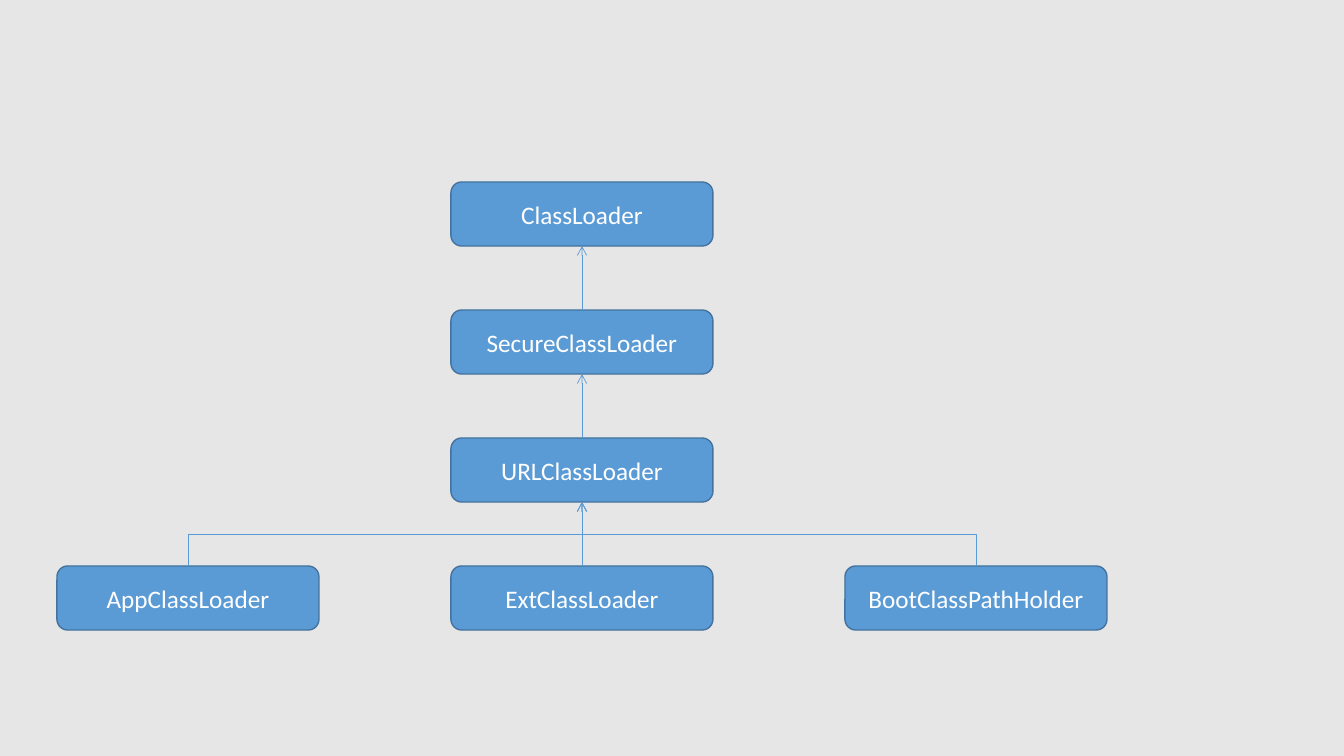
import lxml.etree
import pptx
import pptx.dml.color
import pptx.enum.shapes
import pptx.enum.text
import pptx.oxml.ns
import pptx.util

SCALE = 914400 / 100.8
CLASS_WIDTH, CLASS_HEIGHT = 262, 64
COLUMN_STEP, ROW_STEP = 394, 128
TOP, BOTTOM = 0, 2
ANCESTORS = ["ClassLoader", "SecureClassLoader", "URLClassLoader"]
LOADERS = ["AppClassLoader", "ExtClassLoader", "BootClassPathHolder"]


def px(length):
    """Turn pixels into EMU."""
    return pptx.util.Emu(round(length * SCALE))


def color(value):
    """Turn a hex string into a colour."""
    return pptx.dml.color.RGBColor.from_string(value)


def add_class(slide, name, left, top):
    """Draw one class as a rounded box with its name."""
    box = slide.shapes.add_shape(
        pptx.enum.shapes.MSO_SHAPE.ROUNDED_RECTANGLE,
        px(left), px(top), px(CLASS_WIDTH), px(CLASS_HEIGHT))
    box.shadow.inherit = False
    box.fill.solid()
    box.fill.fore_color.rgb = color("5B9BD5")
    box.line.color.rgb = color("43739E")
    box.line.width = pptx.util.Pt(1)
    box.text_frame.word_wrap = True
    box.text_frame.vertical_anchor = pptx.enum.text.MSO_ANCHOR.MIDDLE
    paragraph = box.text_frame.paragraphs[0]
    paragraph.alignment = pptx.enum.text.PP_ALIGN.CENTER
    run = paragraph.add_run()
    run.text = name
    run.font.name = "Calibri"
    run.font.size = pptx.util.Pt(18)
    run.font.color.rgb = color("FFFFFF")
    return box


def turn_upward(arrow, rise, run):
    """Rotate an elbow so that it leaves and arrives vertically."""
    center_x, center_y = arrow.left + abs(run) // 2, arrow.top + rise // 2
    arrow.left, arrow.top = center_x - rise // 2, center_y - abs(run) // 2
    arrow.width, arrow.height = rise, abs(run)
    frame = arrow._element.spPr.find(pptx.oxml.ns.qn("a:xfrm"))
    for flip in ("flipH", "flipV"):
        frame.attrib.pop(flip, None)
    frame.set("rot", "16200000")
    if run < 0:
        frame.set("flipV", "1")


def add_inheritance(slide, child, parent):
    """Draw the arrow from a class up to the one it extends."""
    kinds = pptx.enum.shapes.MSO_CONNECTOR
    run, rise = parent.left - child.left, child.top - parent.top - parent.height
    arrow = slide.shapes.add_connector(
        kinds.ELBOW if run else kinds.STRAIGHT,
        child.left + child.width // 2, child.top,
        parent.left + parent.width // 2, parent.top + parent.height)
    arrow.begin_connect(child, TOP)
    arrow.end_connect(parent, BOTTOM)
    if run:
        turn_upward(arrow, rise, run)
    arrow.line.color.rgb = color("5B9BD5")
    arrow.line.width = pptx.util.Pt(0.5)
    qn = pptx.oxml.ns.qn
    line = arrow.line._get_or_add_ln()
    lxml.etree.SubElement(line, qn("a:tailEnd")).set("type", "arrow")
    lxml.etree.SubElement(arrow._element.spPr, qn("a:effectLst"))


def add_hierarchy(slide, left, top):
    """Draw the chain of ancestors and the row of loaders below it."""
    chain = [add_class(slide, name, left + COLUMN_STEP, top + row * ROW_STEP)
             for row, name in enumerate(ANCESTORS)]
    loaders_top = top + len(ANCESTORS) * ROW_STEP
    loaders = [add_class(slide, name, left + column * COLUMN_STEP, loaders_top)
               for column, name in enumerate(LOADERS)]
    for parent, child in zip(chain, chain[1:]):
        add_inheritance(slide, child, parent)
    for loader in loaders:
        add_inheritance(slide, loader, chain[-1])


def main():
    """Build and save the slide."""
    deck = pptx.Presentation()
    deck.slide_width, deck.slide_height = px(1344), px(756)
    slide = deck.slides.add_slide(deck.slide_layouts[6])
    slide.background.fill.solid()
    slide.background.fill.fore_color.rgb = color("E7E6E6")
    add_hierarchy(slide, 57, 182)
    deck.save("out.pptx")


if __name__ == "__main__":
    main()
